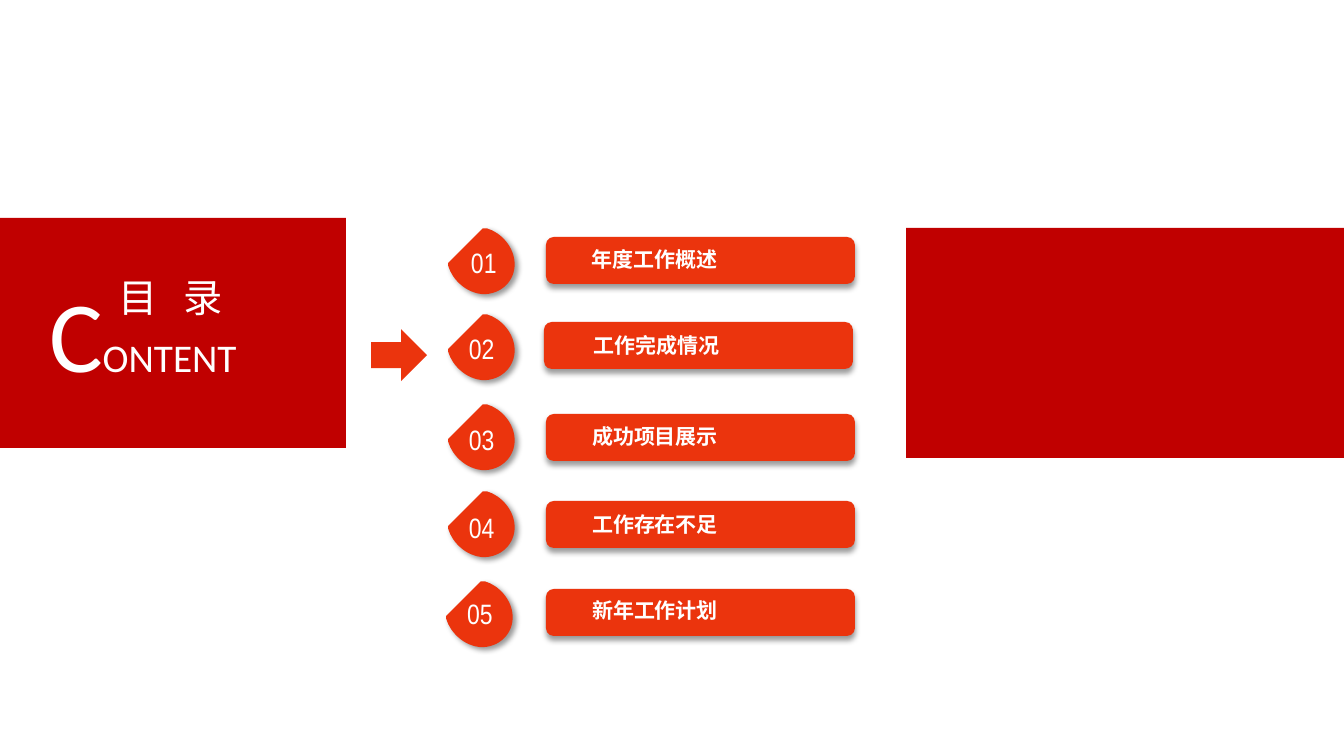
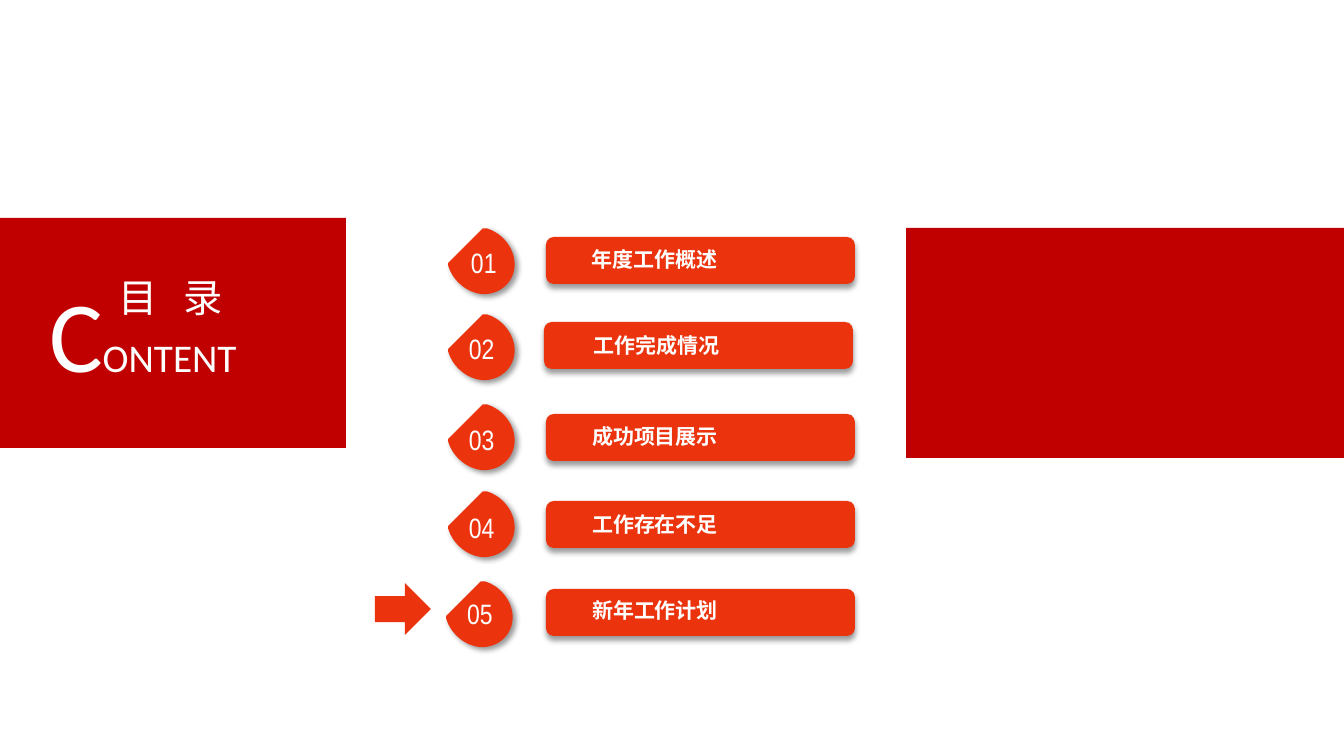
from lxml.etree import SubElement
from pptx import Presentation
from pptx.dml.color import RGBColor
from pptx.enum.shapes import MSO_SHAPE
from pptx.enum.text import MSO_ANCHOR, PP_ALIGN
from pptx.oxml.ns import qn
from pptx.util import Pt

PX = 914400 / 100.8
HUES = {"band": "C00000", "item": "EB340D", "text": "FFFFFF", "shade": "000000"}
SANS = "Noto Sans CJK SC"
ROWS = [
    ("01", "年度工作概述", (546, 237), (578, 240, 219), (454, 237), (461, 46)),
    ("02", "工作完成情况", (544, 322), (580, 326, 219), (454, 323), (459, 55)),
    ("03", "成功项目展示", (546, 414), (578, 417, 226), (454, 413), (459, 55)),
    ("04", "工作存在不足", (546, 501), (578, 505, 226), (454, 500), (459, 55)),
    ("05", "新年工作计划", (546, 589), (578, 591, 226), (452, 590), (457, 61)),
]
ARROWS = [(373, 327), (377, 581)]
WIDE, HIGH = 64, 57
DROP = [
    ("moveTo", [(10, 10)]),
    ("cubicBezTo", [(-1, 22), (-2, 41), (5, 54)]),
    ("lnTo", [(8, 57)]),
    ("lnTo", [(57, 57)]),
    ("lnTo", [(59, 55)]),
    ("cubicBezTo", [(66, 42), (65, 23), (55, 11)]),
    ("cubicBezTo", [(42, -3), (22, -3), (10, 10)]),
    ("close", []),
]


def paint(shape, hue, angle=None):
    shape.fill.solid()
    shape.fill.fore_color.rgb = RGBColor.from_string(HUES[hue])
    shape.line.fill.background()
    shape.shadow.inherit = False
    if angle is not None:
        glow = SubElement(
            shape.element.spPr.find(qn("a:effectLst")), qn("a:outerShdw"),
            blurRad=str(Pt(4)), dist=str(Pt(3)), dir=str(angle * 60000),
            algn="ctr", rotWithShape="0")
        tint = SubElement(glow, qn("a:srgbClr"), val=HUES["shade"])
        SubElement(tint, qn("a:alpha"), val="40000")


def write(box, *runs, font=SANS, bold=False, inset=(10, 5), anchor=MSO_ANCHOR.TOP, tab=None):
    frame = box.text_frame
    frame.word_wrap = True
    frame.vertical_anchor = anchor
    frame.margin_left = frame.margin_right = round(inset[0] * PX)
    frame.margin_top = frame.margin_bottom = round(inset[1] * PX)
    para = frame.paragraphs[0]
    para.alignment = PP_ALIGN.LEFT
    if tab:
        tabs = SubElement(para._p.get_or_add_pPr(), qn("a:tabLst"))
        SubElement(tabs, qn("a:tab"), pos=str(round(tab * PX)), algn="l")
    for words, size in runs:
        run = para.add_run()
        run.text = words
        run.font.size = Pt(size)
        run.font.bold = bold
        run.font.color.rgb = RGBColor.from_string(HUES["text"])
        run.font.name = font
        SubElement(run.font._element, qn("a:ea"), typeface=font)


deck = Presentation()
deck.slide_width = round(1344 * PX)
deck.slide_height = round(756 * PX)

for spot in ARROWS:
    shapes = deck.slides.add_slide(deck.slide_layouts[6]).shapes

    band = shapes.add_shape(
        MSO_SHAPE.RECTANGLE, *[round(n * PX) for n in (-2, 218, 348, 230)])
    paint(band, "band")
    title = shapes.add_textbox(*[round(n * PX) for n in (39, 267, 236, 132)])
    write(title, ("C", 72), ("ONTENT", 28), font="Calibri")
    head = shapes.add_textbox(*[round(n * PX) for n in (109, 268, 175, 57)])
    write(head, ("目\t录", 28), tab=65)

    for num, name, bar_at, (name_x, text_y, name_w), (x, y), (num_x, num_w) in ROWS:
        form = shapes.build_freeform(x, y, scale=PX)
        form.add_line_segments([(x + WIDE, y), (x + WIDE, y + HIGH), (x, y + HIGH)])
        drop = form.convert_to_shape()
        trace = next(drop.element.iter(qn("a:path")))
        for old in list(trace):
            trace.remove(old)
        trace.set("w", str(WIDE))
        trace.set("h", str(HIGH))
        for verb, spots in DROP:
            step = SubElement(trace, qn("a:" + verb))
            for h, v in spots:
                SubElement(step, qn("a:pt"), x=str(h), y=str(v))
        drop.rotation = 135
        paint(drop, "item", 45)

        mark = shapes.add_textbox(*[round(n * PX) for n in (num_x, text_y, num_w, 44)])
        write(mark, (num, 20), font="Arial Narrow")

        bar = shapes.add_shape(
            MSO_SHAPE.ROUNDED_RECTANGLE, *[round(n * PX) for n in (*bar_at, 309, 47)])
        paint(bar, "item", 90)
        label = shapes.add_shape(
            MSO_SHAPE.RECTANGLE, *[round(n * PX) for n in (name_x, text_y, name_w, 39)])
        paint(label, "item")
        write(label, (name, 15), bold=True, inset=(14, 7), anchor=MSO_ANCHOR.MIDDLE)

    arrow = shapes.add_shape(
        MSO_SHAPE.DOWN_ARROW, *[round(n * PX) for n in (*spot, 52, 56)])
    arrow.rotation = 270
    paint(arrow, "item")
    panel = shapes.add_shape(
        MSO_SHAPE.RECTANGLE, *[round(n * PX) for n in (906, 228, 438, 230)])
    paint(panel, "band")

deck.save("out.pptx")
